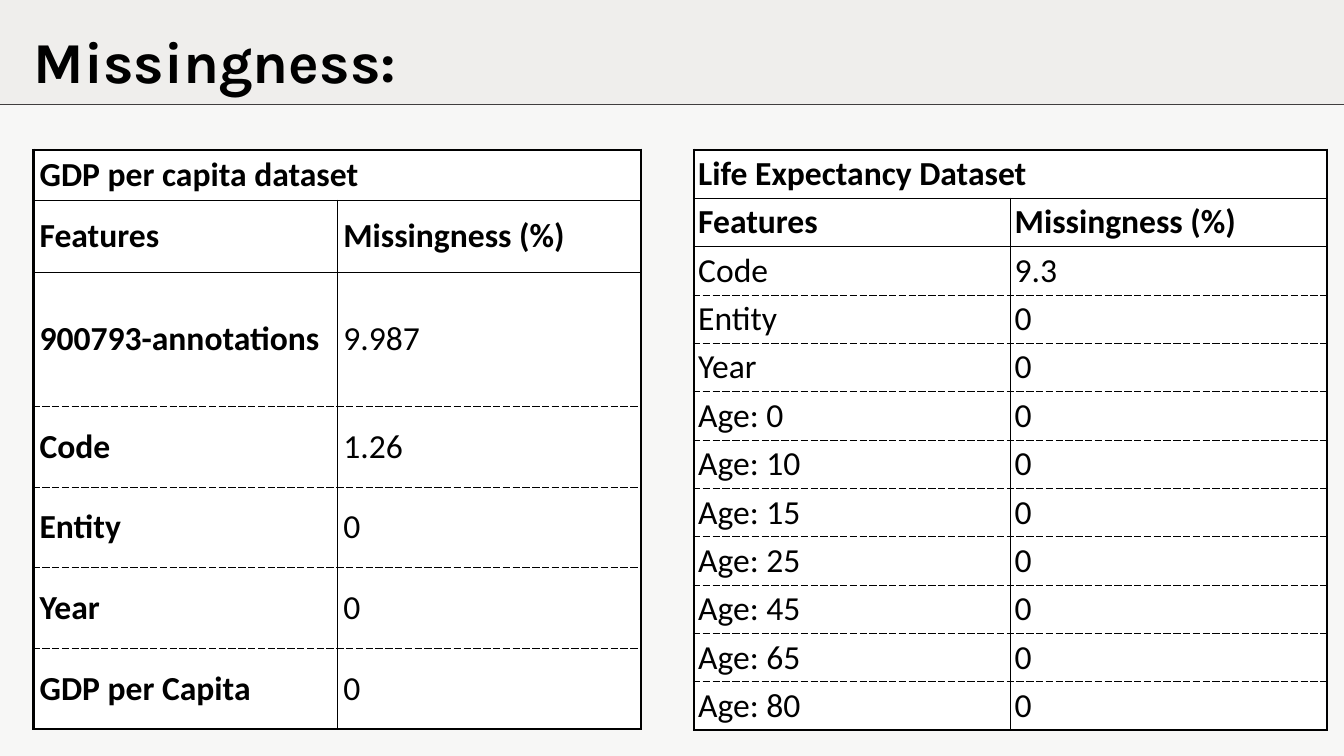
from dataclasses import dataclass

from lxml.etree import SubElement
from pptx import Presentation
from pptx.dml.color import RGBColor
from pptx.enum.shapes import MSO_SHAPE
from pptx.enum.text import MSO_ANCHOR, MSO_AUTO_SIZE, PP_ALIGN
from pptx.oxml.ns import qn
from pptx.util import Inches, Pt


@dataclass(frozen=True)
class Theme:
    background: str = "F7F7F6"
    band: str = "EFEEEC"
    rule: str = "403E3E"
    ink: str = "000000"
    cell: str = "FFFFFF"
    title_font: str = "Karla"
    table_font: str = "Calibri"
    title_size: float = 62
    table_size: float = 36
    outer_line: float = 3
    header_line: float = 1.5
    inner_line: float = 1


def rgb(value):
    return RGBColor.from_string(value)


def write(frame, text, *, font, size, color, bold=False, line_spacing=None):
    paragraph = frame.paragraphs[0]
    paragraph.alignment = PP_ALIGN.LEFT
    if line_spacing:
        paragraph.line_spacing = Pt(line_spacing)
    run = paragraph.add_run()
    run.text = text
    run.font.name = font
    run.font.size = Pt(size)
    run.font.bold = bold
    run.font.color.rgb = rgb(color)


def add_border(cell, side, width, color, dash="solid"):
    """Add one cell edge; call in the order L, R, T, B and before the fill."""
    line = SubElement(cell._tc.get_or_add_tcPr(), qn(f"a:ln{side}"), w=str(Pt(width)))
    fill = SubElement(line, qn("a:solidFill"))
    SubElement(fill, qn("a:srgbClr"), val=color)
    SubElement(line, qn("a:prstDash"), val=dash)


class SlideBuilder:
    def __init__(self, slide, theme):
        self.slide = slide
        self.theme = theme
        slide.background.fill.solid()
        slide.background.fill.fore_color.rgb = rgb(theme.background)

    def band(self, left, top, width, height):
        band = self.slide.shapes.add_shape(
            MSO_SHAPE.RECTANGLE, Inches(left), Inches(top), Inches(width), Inches(height))
        band.shadow.inherit = False
        band.fill.solid()
        band.fill.fore_color.rgb = rgb(self.theme.band)
        band.line.color.rgb = rgb(self.theme.rule)
        band.line.width = Pt(0.75)

    def title(self, text, left, top, width, height):
        title = self.slide.shapes.title
        title.left, title.top = Inches(left), Inches(top)
        title.width, title.height = Inches(width), Inches(height)
        frame = title.text_frame
        frame.margin_left = frame.margin_right = frame.margin_top = frame.margin_bottom = 0
        frame.vertical_anchor = MSO_ANCHOR.TOP
        frame.word_wrap = True
        frame.auto_size = MSO_AUTO_SIZE.SHAPE_TO_FIT_TEXT
        write(frame, text, font=self.theme.title_font, size=self.theme.title_size,
              color=self.theme.ink, bold=True, line_spacing=1.2 * self.theme.title_size)
        # Lift the title above the band, which was drawn later.
        self.slide.shapes._spTree.append(title._element)

    def missingness_table(self, heading, features, *, left, top, width, row_heights,
                          margins, bold_features=False):
        rows = [(heading, ""), ("Features", "Missingness (%)"), *features]
        table = self.slide.shapes.add_table(
            len(rows), 2, Inches(left), Inches(top), Inches(width),
            Inches(sum(row_heights))).table
        table.first_row = table.horz_banding = False
        for column in table.columns:
            column.width = Inches(width / 2)
        for row, height in zip(table.rows, row_heights):
            row.height = Inches(height)
        table.cell(0, 0).merge(table.cell(0, 1))
        for r, row in enumerate(rows):
            for c, text in enumerate(row):
                cell = table.cell(r, c)
                self.cell_style(cell, r, c, len(rows), margins)
                if text:
                    write(cell.text_frame, text, font=self.theme.table_font,
                          size=self.theme.table_size, color=self.theme.ink,
                          bold=r < 2 or (bold_features and c == 0))

    def cell_style(self, cell, row, column, row_count, margins):
        theme = self.theme

        def horizontal(edge):
            if edge in (0, row_count):
                return theme.outer_line, theme.ink
            if edge <= 2:
                return theme.header_line, theme.ink
            return theme.inner_line, theme.ink, "dash"

        def vertical(edge):
            inner = edge == 1 and row > 0
            return theme.inner_line if inner else theme.outer_line, theme.ink

        if cell.is_merge_origin:
            add_border(cell, "L", *vertical(0))
            add_border(cell, "R", *vertical(2))
        else:
            if not cell.is_spanned:
                add_border(cell, "L", *vertical(column))
            add_border(cell, "R", *vertical(column + 1))
        add_border(cell, "T", *horizontal(row))
        add_border(cell, "B", *horizontal(row + 1))
        cell.fill.solid()
        cell.fill.fore_color.rgb = rgb(theme.cell)
        side, end = margins
        cell.margin_left = cell.margin_right = Inches(side)
        cell.margin_top = cell.margin_bottom = Inches(end)
        cell.vertical_anchor = MSO_ANCHOR.MIDDLE


def main():
    deck = Presentation()
    deck.slide_width, deck.slide_height = Inches(20), Inches(11.25)
    title_only = deck.slide_layouts[5]
    builder = SlideBuilder(deck.slides.add_slide(title_only), Theme())

    builder.band(-0.73, -2.86, 22.77, 4.42)
    builder.title("Missingness:", 0.5, 0.38, 17.24, 1.03)

    gdp = [("900793-annotations", "9.987"), ("Code", "1.26"), ("Entity", "0"),
           ("Year", "0"), ("GDP per Capita", "0")]
    builder.missingness_table(
        "GDP per capita dataset", gdp, left=0.5, top=2.23, width=9.04,
        row_heights=[0.75, 1.07, 2] + [1.2] * 4, margins=(0.09, 0.04), bold_features=True)

    ages = (0, 10, 15, 25, 45, 65, 80)
    life = [("Code", "9.3"), ("Entity", "0"), ("Year", "0")]
    life += [(f"Age: {age}", "0") for age in ages]
    builder.missingness_table(
        "Life Expectancy Dataset", life, left=10.33, top=2.23, width=9.42,
        row_heights=[0.72] * (len(life) + 2), margins=(0.06, 0.03))

    deck.save("out.pptx")


if __name__ == "__main__":
    main()
